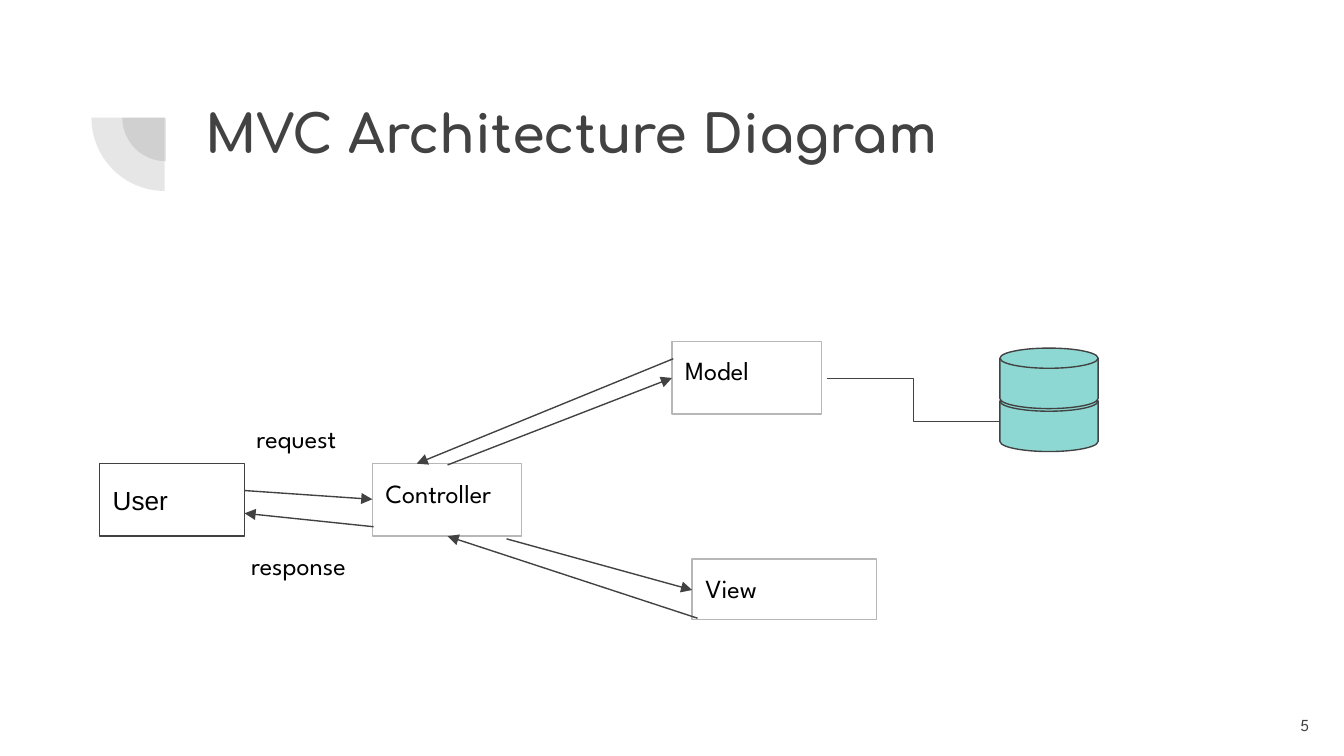
from dataclasses import dataclass
from typing import Optional

from lxml import etree
from pptx import Presentation
from pptx.dml.color import RGBColor
from pptx.enum import shapes, text
from pptx.oxml import ns
from pptx.util import Pt


@dataclass(frozen=True)
class Theme:
    dark: str = "424242"
    black: str = "000000"
    white: str = "FFFFFF"
    border: str = "B7B7B7"
    teal: str = "8DD8D3"
    title_font: str = "Comfortaa"
    body_font: str = "League Spartan"
    user_font: str = "Arial"
    title_size: float = 28
    body_size: float = 14
    number_size: float = 9
    line_width: float = 0.75
    inset: float = 7.2
    pie_alpha: int = 13000


@dataclass(frozen=True)
class Box:
    left: float
    top: float
    width: float
    height: float


@dataclass(frozen=True)
class Label:
    wording: str
    box: Box
    font: str
    size: float
    color: str
    bold: bool = False
    middle: bool = False
    right: bool = False


@dataclass(frozen=True)
class Node:
    label: Label
    border: str
    fill: Optional[str] = None


@dataclass(frozen=True)
class Link:
    start: tuple[float, float]
    end: tuple[float, float]
    elbow: bool = False


THEME = Theme()


def body_label(wording: str, box: Box, font: str = THEME.body_font, middle: bool = False) -> Label:
    return Label(wording, box, font, THEME.body_size, THEME.black, middle=middle)


TITLE = Label("MVC Architecture Diagram", Box(103, 46.8, 553.7, 78.5),
              THEME.title_font, THEME.title_size, THEME.dark, bold=True)
PIES = [Box(65.5, 39.6, 46.8, 46.8), Box(49, 23.8, 78.5, 78.5)]
NODES = [
    Node(body_label("Controller", Box(199.5, 248.4, 80, 38.9)), THEME.border),
    Node(body_label("Model", Box(360, 182.9, 80, 38.9)), THEME.border),
    Node(body_label("View", Box(370.8, 299.5, 98.7, 32.6)), THEME.border),
    Node(body_label("User", Box(53.3, 248.4, 77.8, 38.9), THEME.user_font, middle=True),
         THEME.dark, THEME.white),
]
DISKS = [Box(535.7, top, 52.6, 32.4) for top in (209.5, 186.5)]
LINKS = [
    Link((239.8, 249.1), (360, 202.5)),
    Link((442.8, 202.8), (535.7, 225.9), elbow=True),
    Link((360.7, 192.2), (223.2, 248.4)),
    Link((271.4, 288.7), (370.8, 316.1)),
    Link((373.7, 331.2), (239.8, 287.3)),
    Link((131, 262.8), (199.5, 267.5)),
    Link((200.2, 282.2), (131, 275)),
]
CAPTIONS = [
    body_label("request", Box(130.3, 218.9, 71.3, 38.9)),
    body_label("response", Box(127.4, 287.3, 77.8, 25.2)),
    Label("5", Box(665.3, 373, 43.2, 31), THEME.body_font, THEME.number_size,
          THEME.dark, middle=True, right=True),
]


def place(box: Box) -> tuple[Pt, Pt, Pt, Pt]:
    return Pt(box.left), Pt(box.top), Pt(box.width), Pt(box.height)


def rgb(color: str) -> RGBColor:
    return RGBColor.from_string(color)


def write(shape, label: Label) -> None:
    frame = shape.text_frame
    frame.word_wrap = True
    frame.auto_size = text.MSO_AUTO_SIZE.NONE
    frame.margin_left = frame.margin_right = Pt(THEME.inset)
    frame.margin_top = frame.margin_bottom = Pt(THEME.inset)
    frame.vertical_anchor = text.MSO_ANCHOR.MIDDLE if label.middle else text.MSO_ANCHOR.TOP
    paragraph = frame.paragraphs[0]
    paragraph.alignment = text.PP_ALIGN.RIGHT if label.right else text.PP_ALIGN.LEFT
    run = paragraph.add_run()
    run.text = label.wording
    run.font.name = label.font
    run.font.size = Pt(label.size)
    run.font.bold = label.bold
    run.font.color.rgb = rgb(label.color)


def draw_shape(slide, kind: shapes.MSO_SHAPE, box: Box,
               fill: Optional[str], border: Optional[str]):
    shape = slide.shapes.add_shape(kind, *place(box))
    shape.shadow.inherit = False
    if fill:
        shape.fill.solid()
        shape.fill.fore_color.rgb = rgb(fill)
    else:
        shape.fill.background()
    if border:
        shape.line.color.rgb = rgb(border)
        shape.line.width = Pt(THEME.line_width)
    else:
        shape.line.fill.background()
    return shape


def draw_pie(slide, box: Box) -> None:
    pie = draw_shape(slide, shapes.MSO_SHAPE.PIE, box, THEME.dark, None)
    pie.adjustments[0] = 108
    pie.adjustments[1] = 162
    pie.rotation = 270
    color = pie.fill._xPr.find(ns.qn("a:solidFill"))[0]
    etree.SubElement(color, ns.qn("a:alpha"), val=str(THEME.pie_alpha))


def draw_node(slide, node: Node) -> None:
    shape = draw_shape(slide, shapes.MSO_SHAPE.RECTANGLE, node.label.box, node.fill, node.border)
    write(shape, node.label)


def draw_link(slide, link: Link) -> None:
    kind = shapes.MSO_CONNECTOR.ELBOW if link.elbow else shapes.MSO_CONNECTOR.STRAIGHT
    connector = slide.shapes.add_connector(kind, *map(Pt, link.start + link.end))
    connector.line.color.rgb = rgb(THEME.dark)
    connector.line.width = Pt(THEME.line_width)
    if not link.elbow:
        etree.SubElement(connector.line._get_or_add_ln(), ns.qn("a:tailEnd"), type="triangle")
    etree.SubElement(connector._element.spPr, ns.qn("a:effectLst"))


def draw_title(slide, label: Label) -> None:
    title = slide.shapes.title
    title.left, title.top, title.width, title.height = place(label.box)
    write(title, label)


def main() -> None:
    presentation = Presentation()
    presentation.slide_width, presentation.slide_height = Pt(720), Pt(405)
    slide = presentation.slides.add_slide(presentation.slide_layouts[5])
    for pie in PIES:
        draw_pie(slide, pie)
    draw_title(slide, TITLE)
    for node in NODES:
        draw_node(slide, node)
    for disk in DISKS:
        draw_shape(slide, shapes.MSO_SHAPE.FLOWCHART_MAGNETIC_DISK, disk, THEME.teal, THEME.dark)
    for link in LINKS:
        draw_link(slide, link)
    for caption in CAPTIONS:
        write(slide.shapes.add_textbox(*place(caption.box)), caption)
    presentation.save("out.pptx")


if __name__ == "__main__":
    main()
